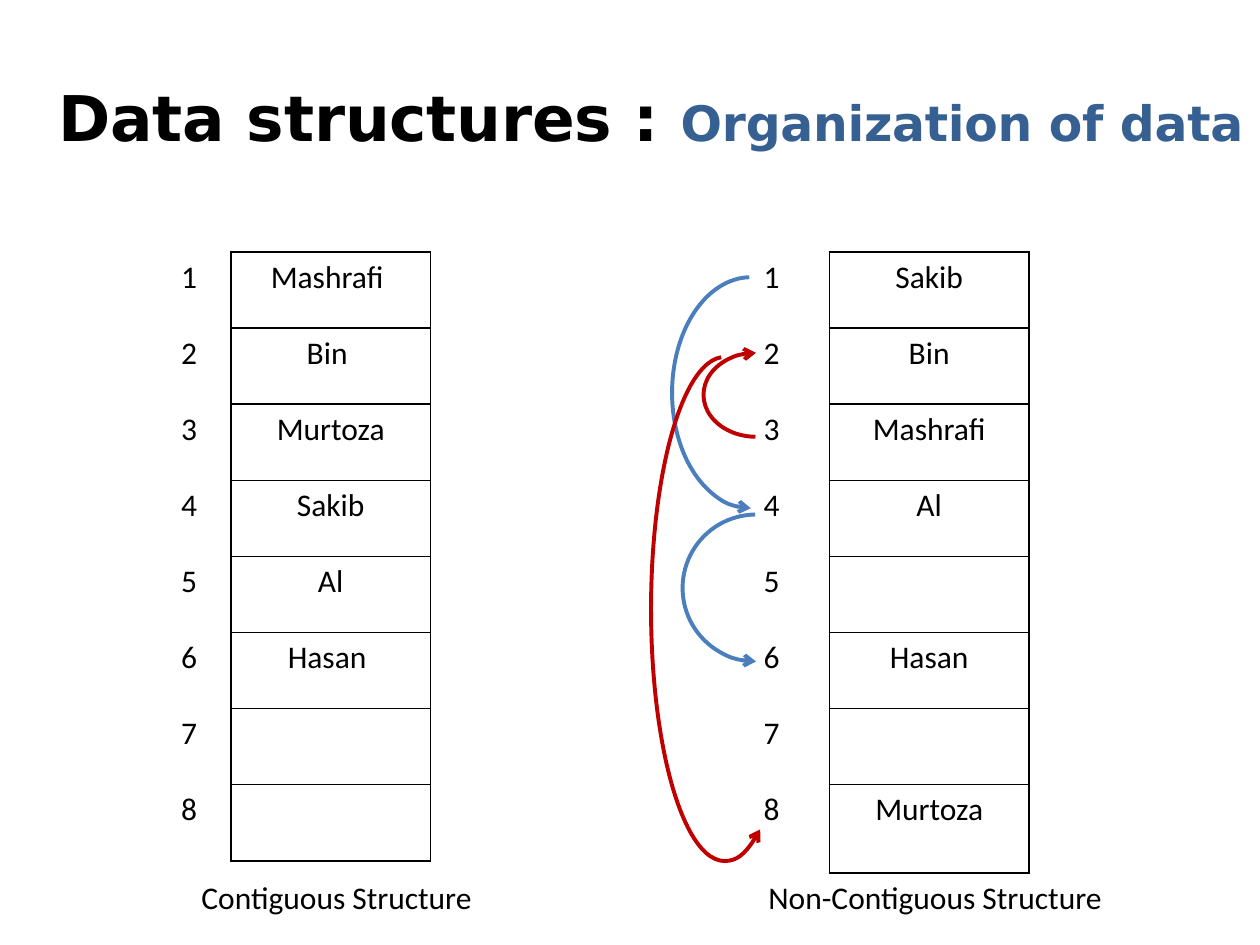
from dataclasses import dataclass

import lxml.etree
import pptx
import pptx.dml.color
import pptx.enum.shapes
import pptx.enum.text
import pptx.oxml.ns
import pptx.util

Pt = pptx.util.Pt
qn = pptx.oxml.ns.qn
ALIGN = pptx.enum.text.PP_ALIGN

COLORS = {"black": "000000", "subtitle": "376092", "blue": "4B7EBC", "red": "C00000"}
BODY_FONT = "Calibri"
TITLE_FONT = "DejaVu Sans"
TABLE_TOP = 144
ROW_HEIGHT = 43.5
VALUE_WIDTH = 114
CAPTION_TOP = 498
ARC_END = 53.54


@dataclass
class MemoryTable:
    left: float
    index_width: float
    last_row_height: float
    values: list[str]
    caption: str
    caption_left: float
    caption_width: float


@dataclass
class LinkArc:
    left: float
    top: float
    width: float
    height: float
    color: str
    start: float = 162
    mirrored: bool = False


MEMORY_TABLES = [
    MemoryTable(84, 48, ROW_HEIGHT,
                ["Mashrafi ", "Bin ", "Murtoza", "Sakib", "Al", "Hasan ", "", ""],
                "Contiguous Structure", 108, 204),
    MemoryTable(408, 66, 50.5,
                ["Sakib", "Bin", "Mashrafi", "Al", "", "Hasan", "", "Murtoza"],
                "Non-Contiguous Structure", 432, 228),
]

LINK_ARCS = [
    LinkArc(384, 158.4, 90, 132, "blue"),
    LinkArc(390, 294, 84, 84, "blue"),
    LinkArc(402, 201.6, 60, 48, "red", mirrored=True),
    LinkArc(372, 204, 84, 288, "red", start=156.49),
]


def rgb(name: str) -> pptx.dml.color.RGBColor:
    return pptx.dml.color.RGBColor.from_string(COLORS[name])


def add_run(paragraph, text: str, size: float = 18, font: str = BODY_FONT,
            color: str = "black", bold: bool = False):
    run = paragraph.add_run()
    run.text = text
    run.font.size = Pt(size)
    run.font.name = font
    run.font.bold = bold
    run.font.color.rgb = rgb(color)
    return run


def set_borders(cell, visible_sides: str) -> None:
    properties = cell._tc.get_or_add_tcPr()
    for side in "LRTB":
        line = lxml.etree.SubElement(properties, qn(f"a:ln{side}"), w=str(int(Pt(1))))
        if side in visible_sides:
            fill = lxml.etree.SubElement(line, qn("a:solidFill"))
            lxml.etree.SubElement(fill, qn("a:srgbClr"), val=COLORS["black"])
        else:
            lxml.etree.SubElement(line, qn("a:noFill"))


def add_title(slide) -> None:
    title = slide.shapes.title
    title.left, title.top, title.width, title.height = Pt(24), Pt(21.6), Pt(696), Pt(90)
    title.text_frame.vertical_anchor = pptx.enum.text.MSO_ANCHOR.MIDDLE
    paragraph = title.text_frame.paragraphs[0]
    paragraph.alignment = ALIGN.CENTER
    for text, size, color in [("Data structures : ", 36, "black"),
                              ("Organization of data", 27.9, "subtitle")]:
        run = add_run(paragraph, text, size, TITLE_FONT, color, bold=True)
        run.font._element.set("spc", "-10")


def add_memory_table(slide, memory: MemoryTable) -> None:
    row_count = len(memory.values)
    height = ROW_HEIGHT * (row_count - 1) + memory.last_row_height
    table = slide.shapes.add_table(
        row_count, 2, Pt(memory.left), Pt(TABLE_TOP),
        Pt(memory.index_width + VALUE_WIDTH), Pt(height)).table
    table.first_row = False
    table.horz_banding = False
    table.columns[0].width = Pt(memory.index_width)
    table.columns[1].width = Pt(VALUE_WIDTH)

    for index, value in enumerate(memory.values):
        is_last = index == row_count - 1
        table.rows[index].height = Pt(memory.last_row_height if is_last else ROW_HEIGHT)
        for column, (text, sides) in enumerate([(str(index + 1), "R"), (value, "LRTB")]):
            cell = table.cell(index, column)
            set_borders(cell, sides)
            cell.fill.background()
            paragraph = cell.text_frame.paragraphs[0]
            paragraph.alignment = ALIGN.CENTER
            if text:
                add_run(paragraph, text)


def add_caption(slide, memory: MemoryTable) -> None:
    text_box = slide.shapes.add_textbox(
        Pt(memory.caption_left), Pt(CAPTION_TOP), Pt(memory.caption_width), Pt(29))
    text_box.text_frame.word_wrap = True
    text_box.text_frame.auto_size = pptx.enum.text.MSO_AUTO_SIZE.SHAPE_TO_FIT_TEXT
    add_run(text_box.text_frame.paragraphs[0], memory.caption)


def add_link_arc(slide, arc: LinkArc) -> None:
    shape = slide.shapes.add_shape(
        pptx.enum.shapes.MSO_SHAPE.ARC,
        Pt(arc.left), Pt(arc.top), Pt(arc.width), Pt(arc.height))
    shape.adjustments[0] = arc.start
    shape.adjustments[1] = ARC_END
    shape.shadow.inherit = False
    shape.fill.background()
    shape.line.color.rgb = rgb(arc.color)
    shape.line.width = Pt(2.25)
    properties = shape._element.spPr
    if arc.mirrored:
        properties.find(qn("a:xfrm")).set("flipH", "1")
    else:
        shape.rotation = 180
    lxml.etree.SubElement(properties.find(qn("a:ln")), qn("a:headEnd"), type="arrow")


def main() -> None:
    presentation = pptx.Presentation()
    presentation.slide_width = Pt(720)
    presentation.slide_height = Pt(540)
    slide = presentation.slides.add_slide(presentation.slide_layouts[5])

    add_title(slide)
    # Numbered memory cells
    for memory in MEMORY_TABLES:
        add_memory_table(slide, memory)
    # Links between the scattered cells
    for arc in LINK_ARCS:
        add_link_arc(slide, arc)
    # Captions below the tables
    for memory in MEMORY_TABLES:
        add_caption(slide, memory)

    presentation.save("out.pptx")


if __name__ == "__main__":
    main()
